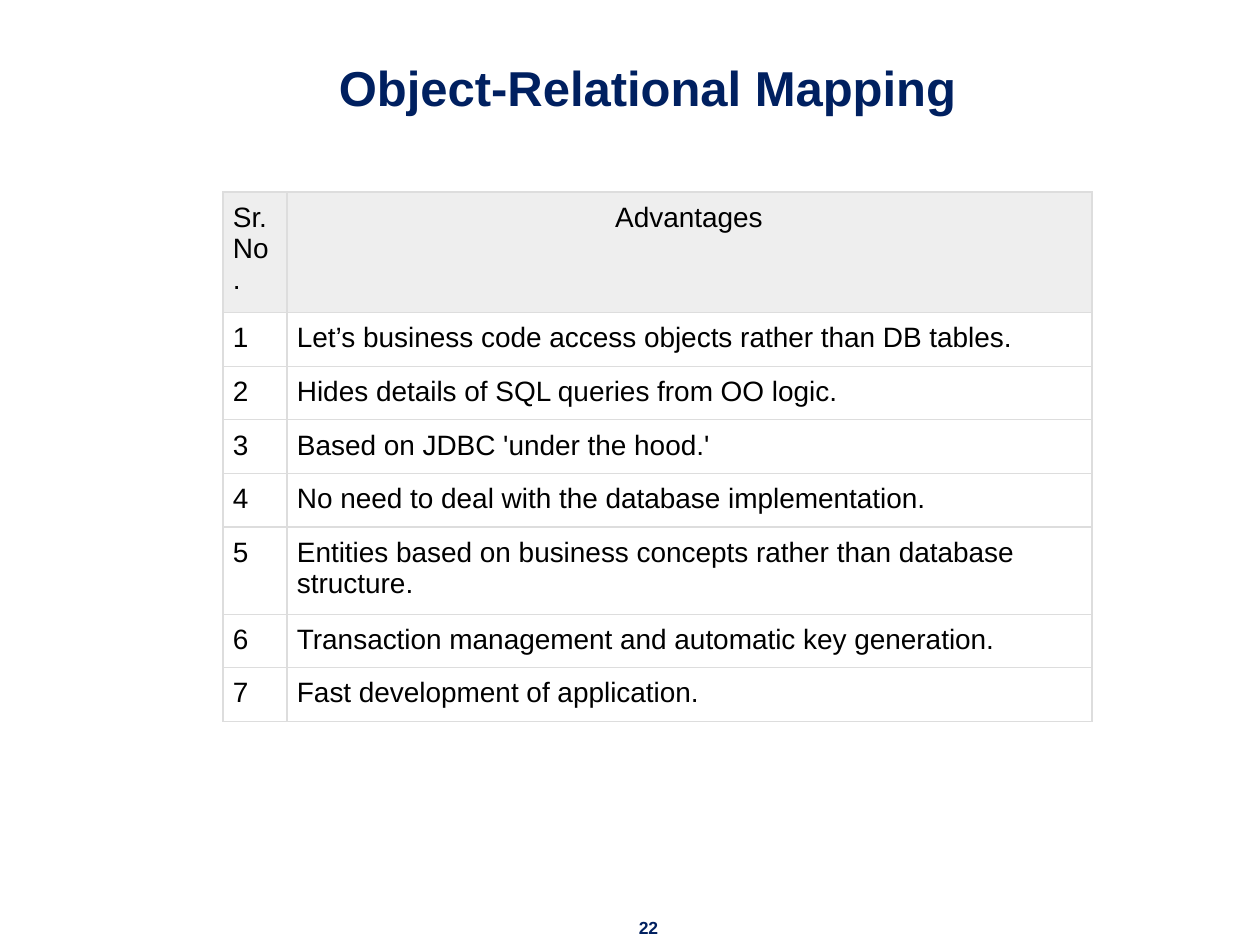
from lxml import etree
from pptx import Presentation
from pptx import util as u
from pptx.dml.color import RGBColor
from pptx.enum import text
from pptx.oxml import ns

PX = u.Inches(1) / 126
NAVY = RGBColor(0x00, 0x20, 0x60)
BLACK = RGBColor(0x00, 0x00, 0x00)
HEADER_GREY = RGBColor(0xEE, 0xEE, 0xEE)
BORDER_GREY = RGBColor(0xDD, 0xDD, 0xDD)

ADVANTAGES = [
    "Let’s business code access objects rather than DB tables.",
    "Hides details of SQL queries from OO logic.",
    "Based on JDBC 'under the hood.'",
    "No need to deal with the database implementation.",
    "Entities based on business concepts rather than database structure.",
    "Transaction management and automatic key generation.",
    "Fast development of application.",
]


def px(length):
    return u.Emu(round(length * PX))


def style_font(font, size, color, bold=False):
    font.name = "Arial"
    font.size = u.Pt(size)
    font.bold = bold
    font.color.rgb = color


def add_heading_text(slide, box, words, size, anchor, wrap):
    """Bold navy centred line, used for the title and the page number."""
    frame = slide.shapes.add_textbox(*map(px, box)).text_frame
    frame.word_wrap = wrap
    frame.vertical_anchor = anchor
    frame.text = words
    paragraph = frame.paragraphs[0]
    paragraph.alignment = text.PP_ALIGN.CENTER
    style_font(paragraph.font, size, NAVY, bold=True)


def set_borders(cell):
    properties = cell._tc.get_or_add_tcPr()
    for side in ("a:lnL", "a:lnR", "a:lnT", "a:lnB"):
        line = etree.SubElement(properties, ns.qn(side), w=str(u.Pt(0.75)))
        fill = etree.SubElement(line, ns.qn("a:solidFill"))
        etree.SubElement(fill, ns.qn("a:srgbClr"), val=str(BORDER_GREY))


def fill_cell(cell, words, header, centred):
    cell.text = words
    cell.margin_left = cell.margin_top = cell.margin_bottom = px(10)
    cell.margin_right = px(11)
    paragraph = cell.text_frame.paragraphs[0]
    paragraph.alignment = text.PP_ALIGN.CENTER if centred else text.PP_ALIGN.LEFT
    # A run font also sizes the end of the line, which sets the row height
    style_font(paragraph.runs[0].font, 16, BLACK)
    set_borders(cell)
    if header:
        cell.fill.solid()
        cell.fill.fore_color.rgb = HEADER_GREY
    else:
        cell.fill.background()


def add_advantages_table(slide, box, number_width, row_height):
    left, top, width, height = box
    rows = [("Sr.No.", "Advantages")]
    rows += [(str(number), line) for number, line in enumerate(ADVANTAGES, 1)]
    table = slide.shapes.add_table(
        len(rows), 2, px(left), px(top), px(width), px(height)).table
    table.first_row = False
    table.horz_banding = False
    table.columns[0].width = px(number_width)
    table.columns[1].width = px(width - number_width)

    # Rows start at one line high and grow with wrapped text
    for row_index, row in enumerate(rows):
        table.rows[row_index].height = px(row_height)
        for column_index, words in enumerate(row):
            header = row_index == 0
            fill_cell(table.cell(row_index, column_index), words,
                      header, centred=header and column_index == 1)


def main():
    presentation = Presentation()
    presentation.slide_width = px(1260)
    presentation.slide_height = px(945)
    slide = presentation.slides.add_slide(presentation.slide_layouts[6])

    # Page number
    add_heading_text(slide, (625, 911, 47, 34), "22", 10,
                     text.MSO_ANCHOR.TOP, wrap=False)
    # Title
    add_heading_text(slide, (91, 39, 1113, 84), "Object-Relational Mapping", 28,
                     text.MSO_ANCHOR.BOTTOM, wrap=True)
    # Numbered advantages
    add_advantages_table(slide, (223, 192, 869, 416),
                         number_width=64, row_height=52)

    presentation.save("out.pptx")


if __name__ == "__main__":
    main()
